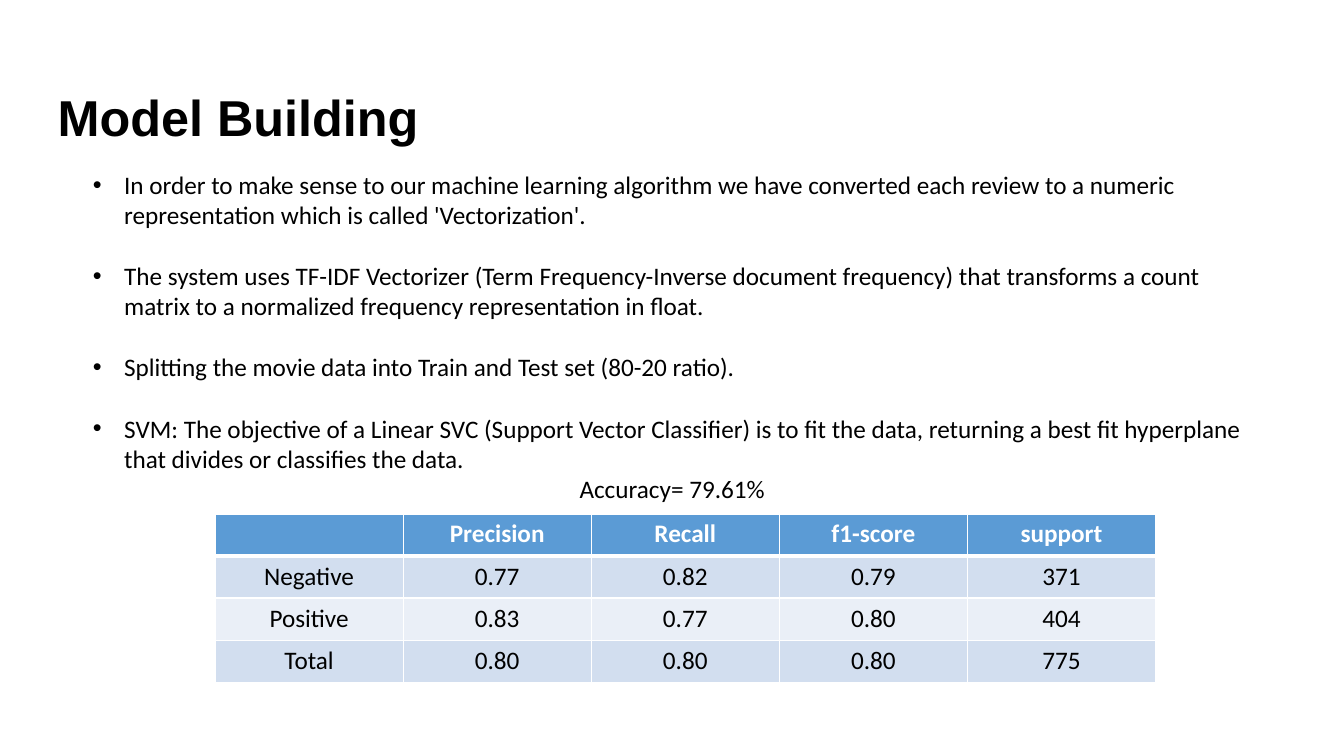
from pptx import Presentation
from pptx import util as u
from pptx.dml.color import RGBColor
from pptx.enum import text
from pptx.oxml import parse_xml
from pptx.oxml.ns import nsdecls

BLACK = RGBColor(0x00, 0x00, 0x00)
WHITE = RGBColor(0xFF, 0xFF, 0xFF)
HEADER_BLUE = RGBColor(0x5B, 0x9B, 0xD5)
BAND_DARK = RGBColor(0xD2, 0xDE, 0xEF)
BAND_LIGHT = RGBColor(0xEA, 0xEF, 0xF7)

STEPS = [
    "In order to make sense to our machine learning algorithm we have converted each review "
    "to a numeric representation which is called 'Vectorization'.",
    "The system uses TF-IDF Vectorizer (Term Frequency-Inverse document frequency) that "
    "transforms a count matrix to a normalized frequency representation in float.",
    "Splitting the movie data into Train and Test set (80-20 ratio).",
    "SVM: The objective of a Linear SVC (Support Vector Classifier) is to fit the data, "
    "returning a best fit hyperplane that divides or classifies the data.",
]
ACCURACY = "Accuracy= 79.61%"
SCORES = [
    ["", "Precision", "Recall", "f1-score", "support"],
    ["Negative", "0.77", "0.82", "0.79", "371"],
    ["Positive", "0.83", "0.77", "0.80", "404"],
    ["Total", "0.80", "0.80", "0.80", "775"],
]


class ReportSlide:
    title_font = "Arial"
    body_font = "Calibri"
    title_size = u.Pt(36)
    body_size = u.Pt(18)
    step_gap = u.Pt(22)
    bullet_indent = u.Cm(0.79)

    def __init__(self, deck):
        self.slide = deck.slides.add_slide(deck.slide_layouts[5])

    def style(self, paragraph, align, color=BLACK, bold=False):
        paragraph.alignment = align
        font = paragraph.font
        font.name, font.size, font.bold = self.body_font, self.body_size, bold
        font.color.rgb = color

    def title(self, wording, left, top, width, height):
        heading = self.slide.shapes.title
        heading.left, heading.top, heading.width, heading.height = left, top, width, height
        heading.text_frame.vertical_anchor = text.MSO_ANCHOR.MIDDLE
        paragraph = heading.text_frame.paragraphs[0]
        paragraph.text = wording
        self.style(paragraph, text.PP_ALIGN.LEFT, bold=True)
        paragraph.line_spacing = 0.9
        paragraph.font.name, paragraph.font.size = self.title_font, self.title_size

    def bullet(self, paragraph):
        properties = paragraph._p.get_or_add_pPr()
        properties.set("marL", str(self.bullet_indent))
        properties.set("indent", str(-self.bullet_indent))
        for mark in ('<a:buFont {} typeface="Arial"/>', '<a:buChar {} char="•"/>'):
            properties.insert_element_before(
                parse_xml(mark.format(nsdecls("a"))), "a:tabLst", "a:defRPr", "a:extLst")

    def steps(self, wordings, closing, left, top, width, height):
        frame = self.slide.shapes.add_textbox(left, top, width, height).text_frame
        frame.word_wrap = True
        for index, wording in enumerate(wordings):
            step = frame.paragraphs[0] if index == 0 else frame.add_paragraph()
            step.text = wording
            self.style(step, text.PP_ALIGN.LEFT)
            if index < len(wordings) - 1:
                step.space_after = self.step_gap
            self.bullet(step)
        result = frame.add_paragraph()
        result.text = closing
        self.style(result, text.PP_ALIGN.CENTER)

    def borders(self, cell, **points):
        for side in "LRTB":
            cell._tc.get_or_add_tcPr().append(parse_xml(
                f'<a:ln{side} {nsdecls("a")} w="{u.Pt(points.get(side, 1))}">'
                f'<a:solidFill><a:srgbClr val="{WHITE}"/></a:solidFill></a:ln{side}>'))

    def table(self, rows, left, top, column_width, row_height):
        columns = len(rows[0])
        grid = self.slide.shapes.add_table(
            len(rows), columns, left, top, column_width * columns, row_height * len(rows)).table
        for row_index, row in enumerate(rows):
            header = row_index == 0
            band = HEADER_BLUE if header else BAND_DARK if row_index % 2 else BAND_LIGHT
            for column_index, value in enumerate(row):
                cell = grid.cell(row_index, column_index)
                cell.text = value
                self.style(cell.text_frame.paragraphs[0], text.PP_ALIGN.CENTER,
                           WHITE if header else BLACK, header)
                self.borders(cell, T=3 if row_index == 1 else 1, B=3 if header else 1)
                cell.fill.solid()
                cell.fill.fore_color.rgb = band


def main():
    deck = Presentation()
    deck.slide_width, deck.slide_height = u.Cm(33.87), u.Cm(19.05)
    report = ReportSlide(deck)
    report.title("Model Building", u.Cm(1.2), u.Cm(1.93), u.Cm(29.2), u.Cm(2.18))
    report.steps(STEPS, ACCURACY, u.Cm(2.09), u.Cm(4.14), u.Cm(29.7), u.Cm(11.79))
    report.table(SCORES, u.Cm(5.42), u.Cm(12.95), u.Cm(4.74), u.Cm(1.06))
    deck.save("out.pptx")


if __name__ == "__main__":
    main()
